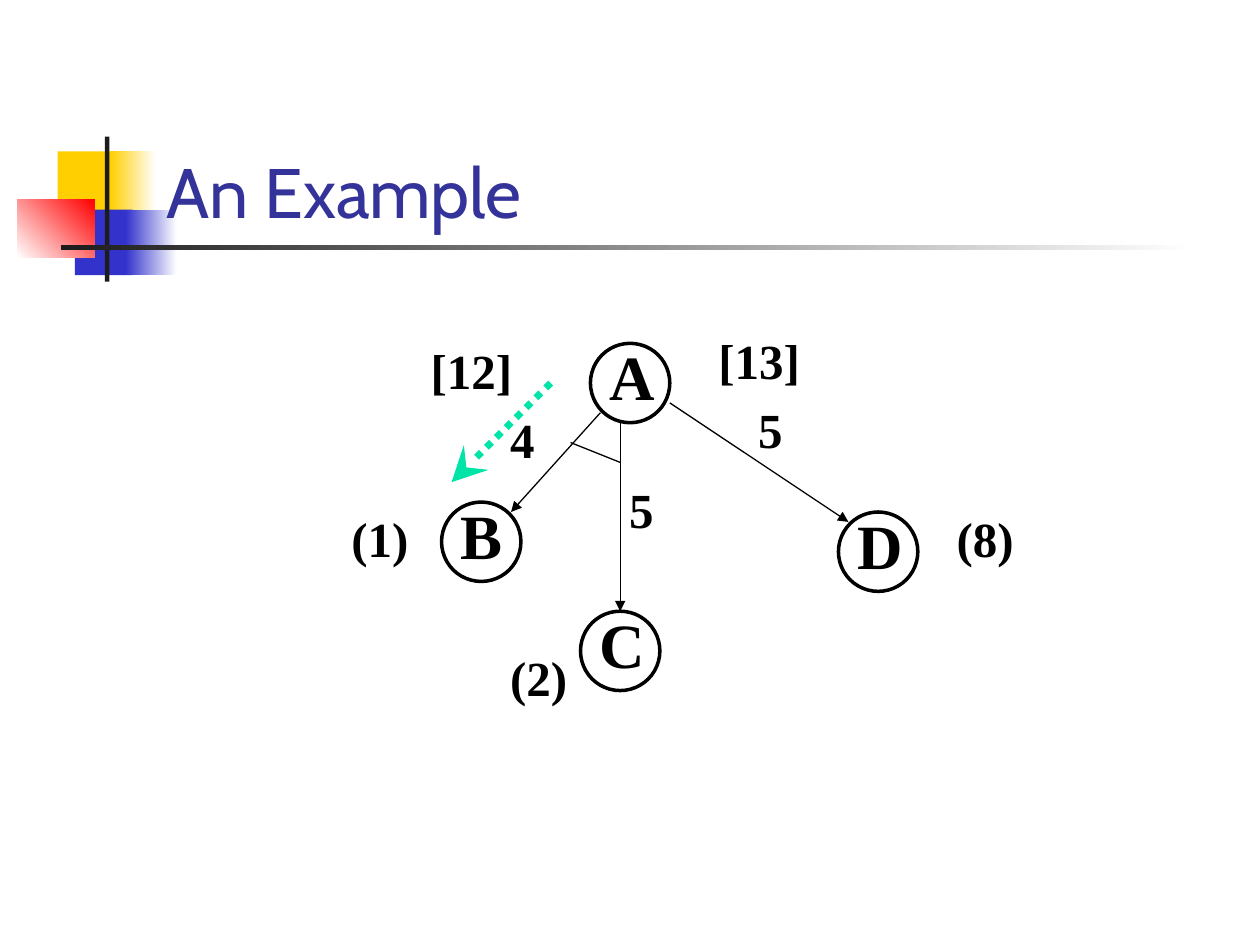
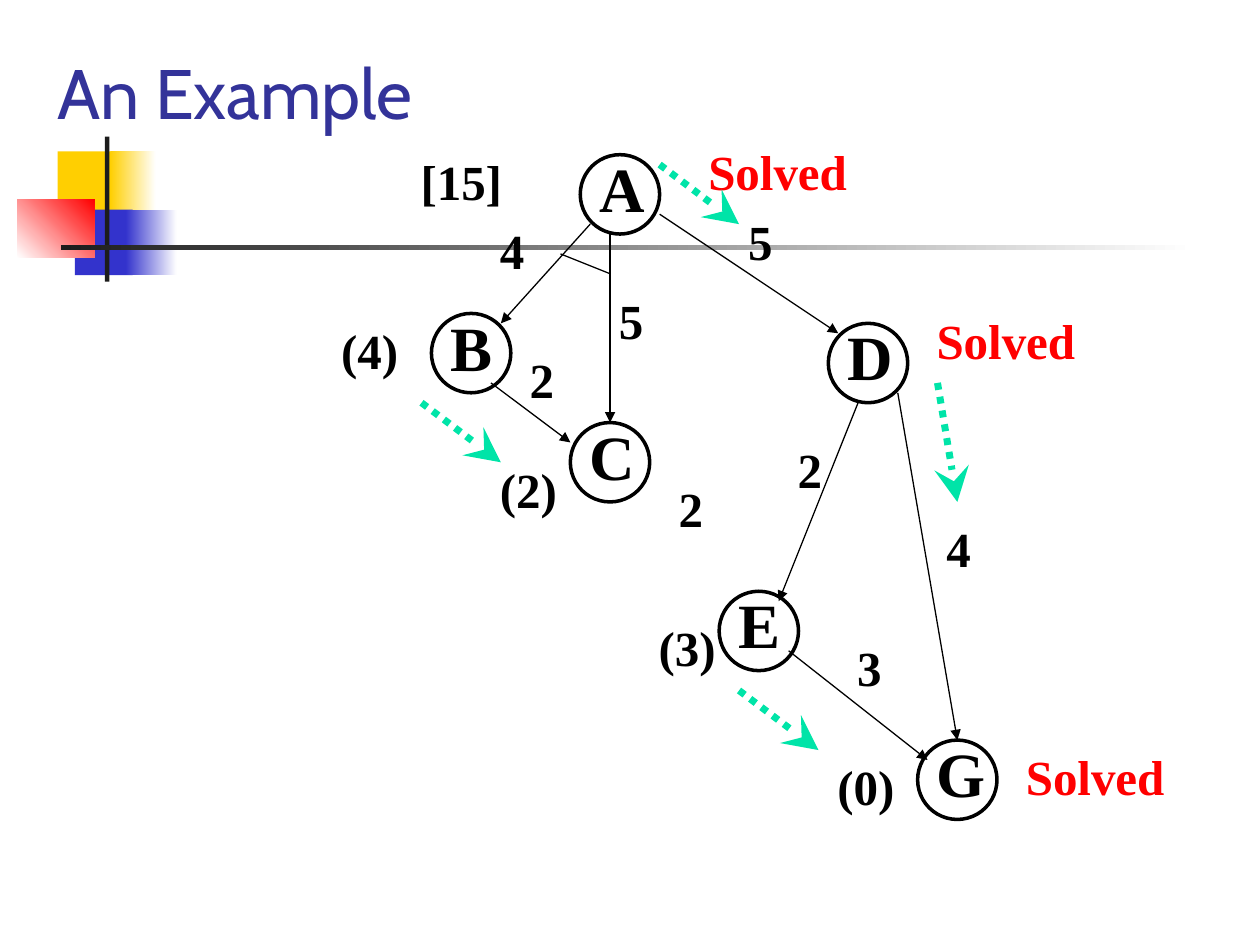
import pptx
import pptx.dml.color
import pptx.enum.dml
import pptx.enum.shapes
import pptx.enum.text
import pptx.oxml
import pptx.oxml.ns
import pptx.util

Pt = pptx.util.Pt
Shapes = pptx.enum.shapes.MSO_SHAPE

TITLE = "An Example"
TITLE_FONT, GRAPH_FONT = "Cabin", "Times New Roman"
INDIGO, BLACK, RED, GREEN, WHITE = "333399", "000000", "FF0000", "00E4A8", "FFFFFF"
YELLOW, BLUE, CHARCOAL = "FFCF01", "3333CC", "1C1C1C"

EMBLEM = [
    (33, 86.5, 35, 37.5, YELLOW, YELLOW, 0),
    (63, 86.5, 26, 37.5, YELLOW, WHITE, 0),
    (42.8, 119.8, 33, 37.5, BLUE, BLUE, 0),
    (72, 119.8, 29, 37.5, BLUE, WHITE, 0),
    (10, 113.8, 44, 33.5, WHITE, RED, 45),
    (60, 78.1, 2.5, 82.8, CHARCOAL, CHARCOAL, 0),
    (34.8, 140.1, 648, 2.6, CHARCOAL, WHITE, 0),
]

GRID = 5.67
NODE_STEPS = 8
SHARED_GRAPH = {
    "nodes": {"A": (0, 0), "B": (-15, 16), "C": (-1, 27), "D": (25, 17)},
    "edges": [((1, 7), (-8, 17), None), ((3, 8), (3, 27), "C"), ((8, 6), (26, 18), None)],
    "labels": [("4", -9, 7), ("5", 16, 6), ("5", 3, 14), ("(2)", -9, 31)],
    "and_arc": ((-2, 10), (3, 12)),
}
SLIDES = [
    {
        "title_at": (88, 77.5),
        "origin": (337.4, 196.2),
        "nodes": {},
        "edges": [],
        "labels": [("[12]", -17, 0), ("[13]", 12, -1), ("(1)", -25, 17), ("(8)", 36, 17)],
        "hints": [((-4, 4), (-14, 14))],
    },
    {
        "title_at": (25.5, 20.8),
        "origin": (331.6, 88.4),
        "nodes": {"E": (14, 44), "G": (34, 59)},
        "edges": [
            ((-9, 23), (-1, 29), None),
            ((28, 25), (20, 45), None),
            ((32, 24), (38, 59), "G"),
            ((21, 50), (35, 61), None),
        ],
        "labels": [
            ("[15]", -17, 0), ("(4)", -25, 17), ("(3)", 7, 47), ("(0)", 25, 61),
            ("2", -6, 20), ("2", 9, 33), ("2", 21, 29), ("4", 36, 37), ("3", 27, 49),
            ("Solved", 12, -1), ("Solved", 35, 16), ("Solved", 44, 60),
        ],
        "hints": [
            ((8, 1), (16, 7)), ((36, 23), (38, 35)),
            ((-16, 25), (-8, 31)), ((16, 54), (24, 60)),
        ],
    },
]
LABEL_WIDTHS = {1: 26, 3: 46, 4: 60, 6: 95}
LETTER_WIDTH = 40


def color(hex_code):
    return pptx.dml.color.RGBColor.from_string(hex_code)


def style_text(para, font_name, size, hex_code, bold=False):
    para.font.name = font_name
    para.font.size = Pt(size)
    para.font.bold = bold
    para.font.color.rgb = color(hex_code)


def add_emblem(page, layout):
    for number, (left, top, width, height, start, end, angle) in enumerate(EMBLEM):
        box = page.shapes.add_shape(Shapes.RECTANGLE, Pt(left), Pt(top), Pt(width), Pt(height))
        box.shadow.inherit = False
        box.line.fill.background()
        if start == end:
            box.fill.solid()
            box.fill.fore_color.rgb = color(start)
        else:
            box.fill.gradient()
            box.fill.gradient_angle = angle
            for stop, hex_code in zip(box.fill.gradient_stops, (start, end)):
                stop.color.rgb = color(hex_code)
        box.element.xpath(".//p:cNvPr")[0].set("id", str(100 + number))
        layout.shapes.element.append(box.element)


def add_title(page, left, top):
    title = page.shapes.title
    title.left, title.top, title.width, title.height = Pt(left), Pt(top), Pt(670), Pt(59)
    frame = title.text_frame
    frame.text = TITLE
    frame.auto_size = pptx.enum.text.MSO_AUTO_SIZE.NONE
    frame.vertical_anchor = pptx.enum.text.MSO_ANCHOR.BOTTOM
    para = frame.paragraphs[0]
    para.alignment = pptx.enum.text.PP_ALIGN.LEFT
    style_text(para, TITLE_FONT, 40, INDIGO)


def add_text(page, text, spot, width, size, hex_code=BLACK):
    box = page.shapes.add_textbox(*spot, Pt(width), Pt(size * 0.98 + 6.5))
    frame = box.text_frame
    frame.margin_left = frame.margin_right = Pt(5.1)
    frame.margin_top = frame.margin_bottom = Pt(2.5)
    frame.word_wrap = True
    frame.auto_size = pptx.enum.text.MSO_AUTO_SIZE.NONE
    frame.text = text
    para = frame.paragraphs[0]
    para.line_spacing = 0.88
    style_text(para, GRAPH_FONT, size, hex_code, bold=True)


def add_node(page, letter, spot, letter_spot):
    side = Pt(NODE_STEPS * GRID)
    circle = page.shapes.add_shape(Shapes.OVAL, *spot, side, side)
    circle.shadow.inherit = False
    circle.fill.background()
    circle.line.color.rgb = color(BLACK)
    circle.line.width = Pt(2)
    add_text(page, letter, letter_spot, LETTER_WIDTH, 36)
    return circle


def add_line(page, start, end, hex_code=BLACK, width=0.75, head=None, scale="med", dotted=False):
    link = page.shapes.add_connector(pptx.enum.shapes.MSO_CONNECTOR.STRAIGHT, *start, *end)
    link.line.color.rgb = color(hex_code)
    link.line.width = Pt(width)
    if dotted:
        link.line.dash_style = pptx.enum.dml.MSO_LINE.ROUND_DOT
    namespace = pptx.oxml.ns.nsdecls("a")
    if head:
        arrowhead = f'<a:tailEnd {namespace} type="{head}" w="{scale}" len="{scale}"/>'
        outline = link.element.spPr.find(pptx.oxml.ns.qn("a:ln"))
        outline.append(pptx.oxml.parse_xml(arrowhead))
    link.element.spPr.append(pptx.oxml.parse_xml(f"<a:effectLst {namespace}/>"))
    return link


def add_graph(page, content):
    left, top = content["origin"]

    def place(column, row):
        return Pt(left + column * GRID), Pt(top + row * GRID)

    circles = {}
    for letter, (column, row) in (SHARED_GRAPH["nodes"] | content["nodes"]).items():
        circles[letter] = add_node(page, letter, place(column, row), place(column + 1, row))
    for start, end, target in SHARED_GRAPH["edges"] + content["edges"]:
        link = add_line(page, place(*start), place(*end), head="triangle")
        if target:
            link.end_connect(circles[target], 0)
    add_line(page, *(place(*point) for point in SHARED_GRAPH["and_arc"]))
    for text, column, row in SHARED_GRAPH["labels"] + content["labels"]:
        hex_code = RED if text == "Solved" else BLACK
        add_text(page, text, place(column, row), LABEL_WIDTHS[len(text)], 28, hex_code)
    for start, end in content["hints"]:
        add_line(page, place(*start), place(*end), GREEN, 4, "stealth", "lg", dotted=True)


def main():
    deck = pptx.Presentation()
    deck.slide_width, deck.slide_height = Pt(720), Pt(540)
    layout = deck.slide_layouts[5]
    pages = [deck.slides.add_slide(layout) for content in SLIDES]
    add_emblem(pages[0], layout)
    for page, content in zip(pages, SLIDES):
        add_title(page, *content["title_at"])
        add_graph(page, content)
    deck.save("out.pptx")


if __name__ == "__main__":
    main()
